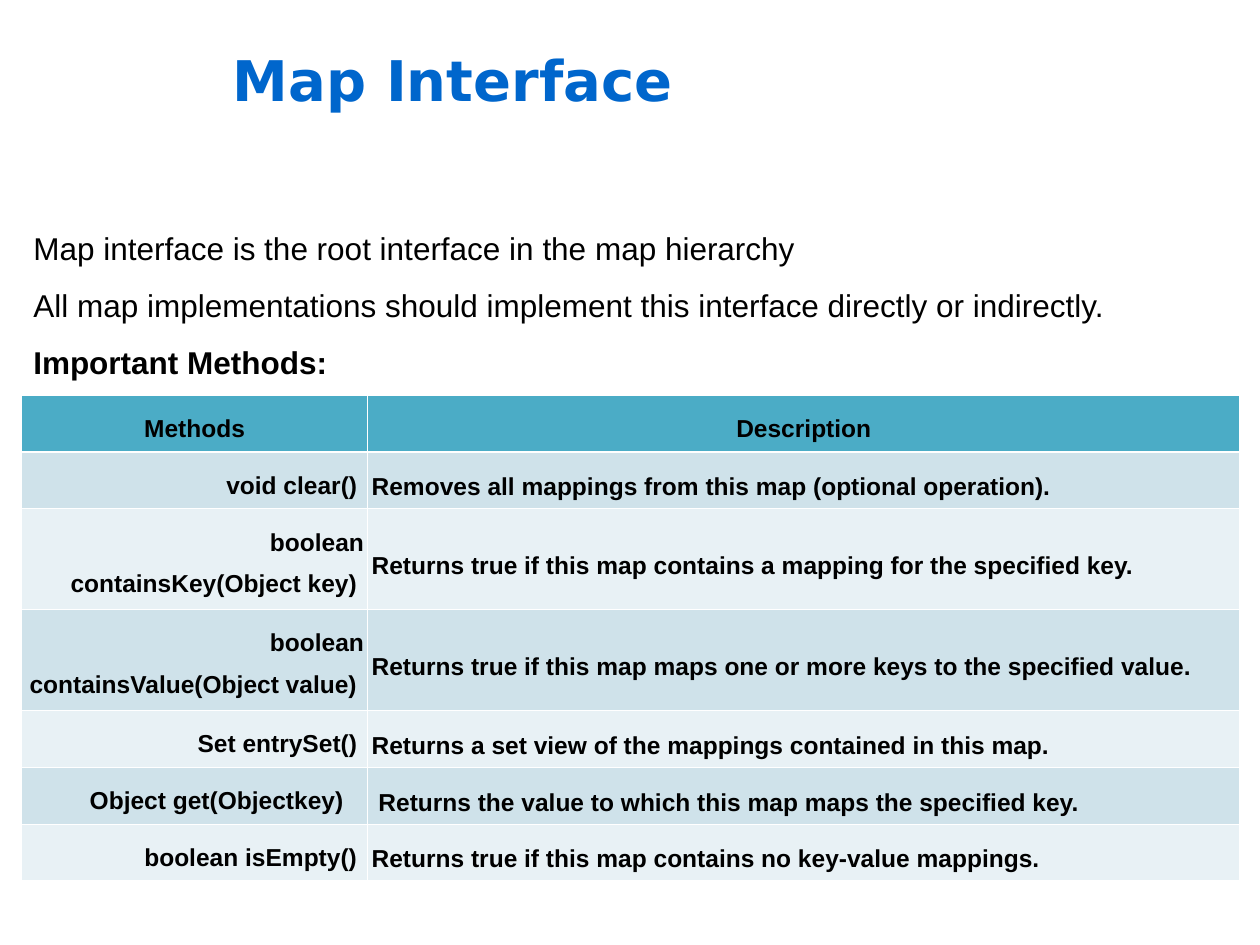
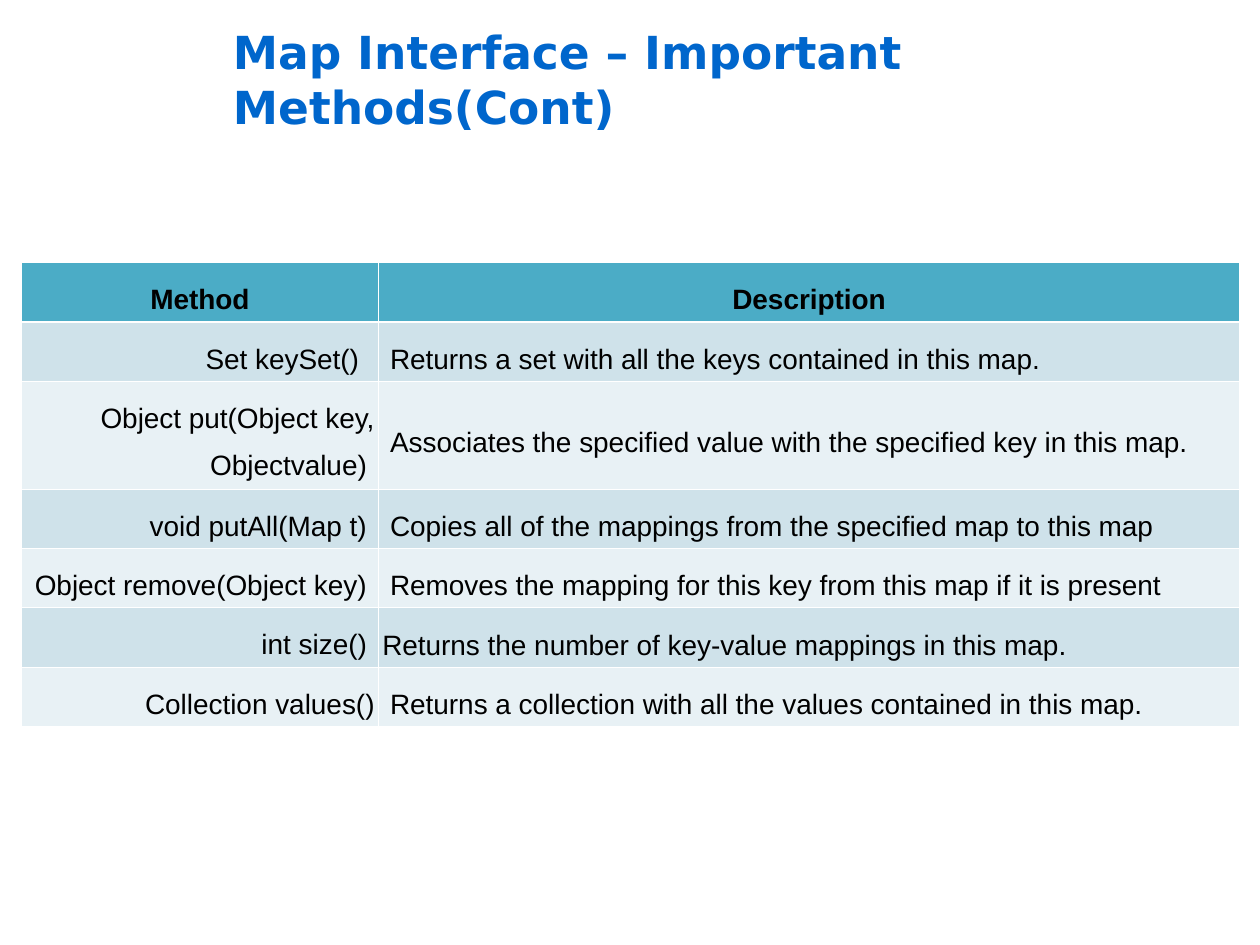
from lxml import etree
from pptx import Presentation
from pptx.dml.color import RGBColor
from pptx.enum import text
from pptx.oxml import ns
from pptx.util import Pt

BLACK = RGBColor(0, 0, 0)
TITLE_BLUE = RGBColor(0x00, 0x66, 0xCC)
HEADER_TEAL = RGBColor(0x4B, 0xAC, 0xC6)
BAND_FILLS = [RGBColor(0xE8, 0xF1, 0xF5), RGBColor(0xCF, 0xE2, 0xEA)]
NBSP = chr(160)
LEFT, RIGHT, CENTER = text.PP_ALIGN.LEFT, text.PP_ALIGN.RIGHT, text.PP_ALIGN.CENTER
TOP, MIDDLE = text.MSO_ANCHOR.TOP, text.MSO_ANCHOR.MIDDLE
CELL_MARGIN = 2.16
TABLE_LEFT, TABLE_WIDTH = 12.2, 696.3


def write(paragraph, wording, size, font="Arial", color=BLACK, bold=False,
          align=LEFT, spacing=1.5):
    paragraph.alignment = align
    paragraph.line_spacing = spacing
    run = paragraph.add_run()
    run.text = wording
    run.font.name = font
    run.font.size = Pt(size)
    run.font.bold = bold
    run.font.color.rgb = color


def set_borders(cell, widths):
    """Give the cell white borders; widths maps a:lnL, a:lnR, a:lnT, a:lnB to points."""
    properties = cell._tc.get_or_add_tcPr()
    for position, (tag, width) in enumerate(widths.items()):
        line = etree.Element(ns.qn(tag), w=str(int(Pt(width))))
        fill = etree.SubElement(line, ns.qn("a:solidFill"))
        etree.SubElement(fill, ns.qn("a:srgbClr"), val="FFFFFF")
        properties.insert(position, line)


# Each table row: method, description, then the extra gap in points
# to the right of the method and to the left of the description.
pages = [
    {
        "title": "Map Interface", "title_size": 32,
        "intro": [
            ("Map interface is the root interface in the map hierarchy", False),
            ("All map implementations should implement this interface directly or indirectly.",
             False),
            ("Important Methods:", True),
        ],
        "table_top": 225.9, "method_width": 198, "size": 14, "bold_rows": True,
        "spacing": 1.5, "header_anchor": TOP,
        "heights": [32.2, 29.6, 54.7, 54.7, 29.6, 29.6, 29.6],
        "rows": [
            ("Methods", "Description", 0, 0),
            ("void clear()", "Removes all mappings from this map (optional operation).", 3.9, 0),
            (f"boolean containsKey(Object{NBSP}key) ",
             "Returns true if this map contains a mapping for the specified key.", 0, 0),
            (f"boolean containsValue(Object{NBSP}value) ",
             "Returns true if this map maps one or more keys to the specified value.", 0, 0),
            ("Set entrySet()", "Returns a set view of the mappings contained in this map.", 3.9, 0),
            ("Object get(Objectkey)",
             "Returns the value to which this map maps the specified key.", 11.7, 3.9),
            ("boolean isEmpty()",
             "Returns true if this map contains no key-value mappings.", 3.9, 0),
        ],
    },
    {
        "title": "Map Interface – Important Methods(Cont)", "title_size": 26,
        "intro": [],
        "table_top": 150, "method_width": 204.1, "size": 16, "bold_rows": False,
        "spacing": Pt(26.7), "header_anchor": MIDDLE,
        "heights": [33.9, 33.9, 61.6, 33.9, 33.9, 33.9, 33.9],
        "rows": [
            ("Method", "Description", 0, 0),
            ("Set keySet()", "Returns a set with all the keys contained in this map.", 8.9, 4.45),
            (f"Object put(Object{NBSP}key, Objectvalue) ",
             "Associates the specified value with the specified key in this map.", 0, 4.45),
            ("void putAll(Map t)",
             "Copies all of the mappings from the specified map to this map", 4.45, 4.45),
            (f"Object remove(Object{NBSP}key)",
             "Removes the mapping for this key from this map if it is present", 4.45, 4.45),
            ("int size()", "Returns the number of key-value mappings in this map.", 4.45, 0),
            ("Collection values()",
             "Returns a collection with all the values contained in this map.", 0, 4.45),
        ],
    },
]

presentation = Presentation()
presentation.slide_width, presentation.slide_height = Pt(720), Pt(540)

for page in pages:
    slide = presentation.slides.add_slide(presentation.slide_layouts[6])

    title = slide.shapes.add_textbox(Pt(126), Pt(0), Pt(594), Pt(90)).text_frame
    title.word_wrap = True
    title.vertical_anchor = MIDDLE
    write(title.paragraphs[0], page["title"], page["title_size"],
          font="DejaVu Sans", color=TITLE_BLUE, bold=True, spacing=1.0)

    if page["intro"]:
        intro = slide.shapes.add_textbox(Pt(12), Pt(116.6), Pt(684), Pt(104.4)).text_frame
        intro.word_wrap = True
        for index, (sentence, bold) in enumerate(page["intro"]):
            paragraph = intro.add_paragraph() if index else intro.paragraphs[0]
            write(paragraph, sentence, 18, bold=bold)

    heights = page["heights"]
    table = slide.shapes.add_table(
        len(heights), 2, Pt(TABLE_LEFT), Pt(page["table_top"]),
        Pt(TABLE_WIDTH), Pt(sum(heights))).table
    table.columns[0].width = Pt(page["method_width"])
    table.columns[1].width = Pt(TABLE_WIDTH - page["method_width"])

    for row, (method, description, method_gap, description_gap) in enumerate(page["rows"]):
        table.rows[row].height = Pt(heights[row])
        is_header = row == 0
        description_anchor = page["header_anchor"] if is_header else MIDDLE
        for column, wording in enumerate((method, description)):
            cell = table.cell(row, column)
            cell.margin_left = Pt(CELL_MARGIN + (description_gap if column else 0))
            cell.margin_right = Pt(CELL_MARGIN + (0 if column else method_gap))
            cell.margin_top = cell.margin_bottom = Pt(3.6)
            cell.vertical_anchor = description_anchor if column else TOP
            cell.fill.solid()
            cell.fill.fore_color.rgb = HEADER_TEAL if is_header else BAND_FILLS[row % 2]
            set_borders(cell, {"a:lnL": 0.45, "a:lnR": 0.45,
                               "a:lnT": 1.47 if row == 1 else 0.45,
                               "a:lnB": 1.47 if is_header else 0.45})
            write(cell.text_frame.paragraphs[0], wording, page["size"],
                  bold=is_header or page["bold_rows"], spacing=page["spacing"],
                  align=CENTER if is_header else (RIGHT, LEFT)[column])

presentation.save("out.pptx")
